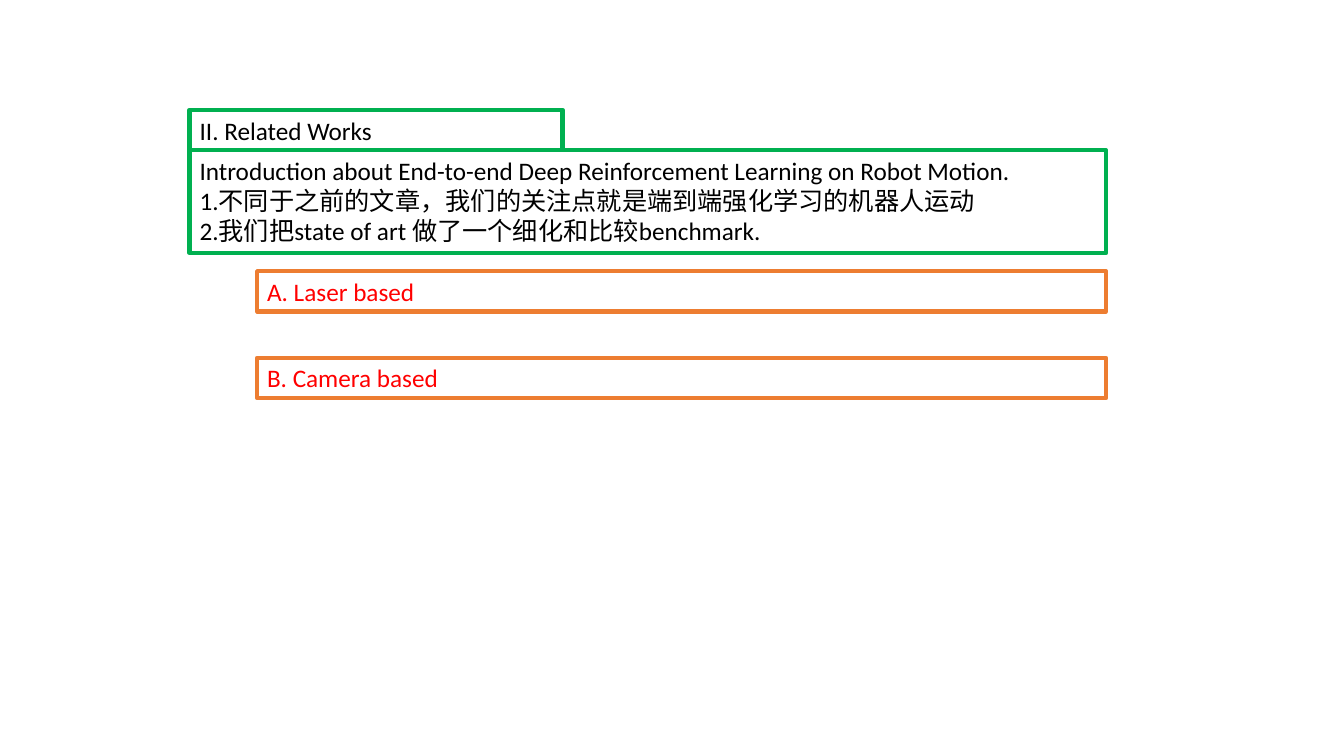
from pptx import Presentation
from pptx.dml.color import RGBColor as Rgb
from pptx.enum.text import MSO_ANCHOR as Anchor, MSO_AUTO_SIZE as Fit, PP_ALIGN as Align
from pptx.oxml.ns import qn
from pptx.util import Inches, Pt
from lxml.etree import SubElement

HUES = {"green": "00B050", "orange": "ED7D31", "black": "000000", "red": "FF0000"}
WIDE, HIGH = 13.33, 7.5
LEFT, RIGHT, INDENT = 1.88, 10.97, 0.67
ROW = 0.4
INTRO = [
    "Introduction about End-to-end Deep Reinforcement Learning on Robot Motion.",
    "1.不同于之前的文章，我们的关注点就是端到端强化学习的机器人运动",
    "2.我们把state of art 做了一个细化和比较benchmark.",
]
TOPICS = ["A. Laser based", "B. Camera based"]


def frame(shape, box, lines, edge, ink):
    """Place a shape in box (inches), outline it and fill in its lines."""
    shape.left, shape.top, shape.width, shape.height = map(Inches, box)
    shape.line.color.rgb = Rgb.from_string(HUES[edge])
    shape.line.width = Pt(3)
    text = shape.text_frame
    text.text = "\n".join(lines)
    text.word_wrap = True
    text.auto_size = Fit.NONE
    text.vertical_anchor = Anchor.TOP
    for para in text.paragraphs:
        para.alignment = Align.LEFT
        para.space_before = Pt(0)
        para.font.name = "Calibri"
        para.font.size = Pt(18)
        para.font.color.rgb = Rgb.from_string(HUES[ink])


def plain(shape):
    """Remove bullets and hanging indents from a list."""
    for para in shape.text_frame.paragraphs:
        props = para._p.get_or_add_pPr()
        props.set("marL", "0")
        props.set("indent", "0")
        SubElement(props, qn("a:buNone"))


def header(slide, box):
    """Put the section title and its introduction in box."""
    left, top, width, height = box
    title, body = slide.shapes.title, slide.placeholders[1]
    frame(title, (left, top, 3.7, ROW), ["II. Related Works"], "green", "black")
    frame(body, (left, top + ROW, width, height - ROW), INTRO, "green", "black")
    plain(body)


def topics(slide, box):
    """Spread the topic bars evenly from the top to the foot of box."""
    left, top, width, height = box
    step = (height - ROW) / (len(TOPICS) - 1)
    for i, name in enumerate(TOPICS):
        bar = slide.shapes.add_textbox(0, 0, 0, 0)
        frame(bar, (left, top + i * step, width, ROW), [name], "orange", "red")


deck = Presentation()
deck.slide_width, deck.slide_height = Inches(WIDE), Inches(HIGH)
page = deck.slides.add_slide(deck.slide_layouts[1])
header(page, (LEFT, 1.09, RIGHT - LEFT, 1.42))
topics(page, (LEFT + INDENT, 2.69, RIGHT - LEFT - INDENT, 1.26))
deck.save("out.pptx")
